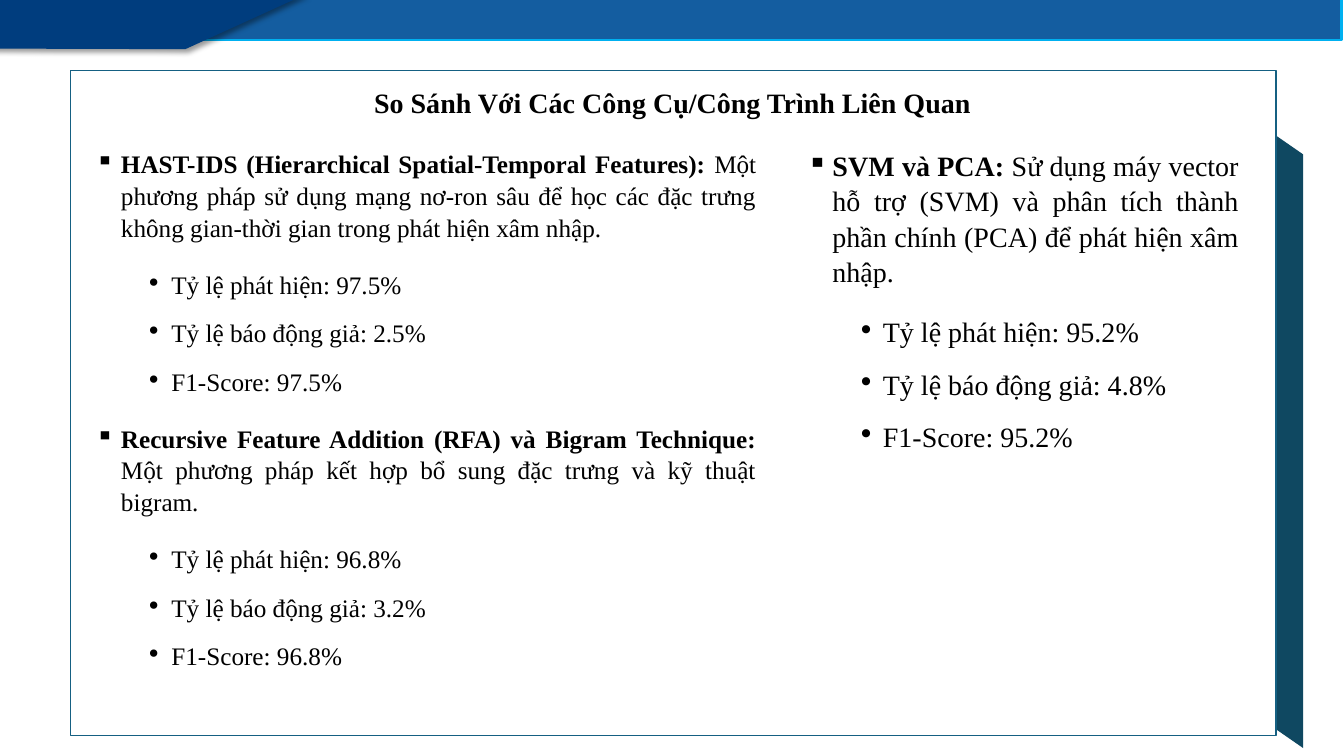
"""Builds a slide comparing intrusion detection methods by their scores."""
from lxml.etree import SubElement
from pptx import Presentation
from pptx.dml.color import RGBColor
from pptx.enum.shapes import MSO_SHAPE as Preset
from pptx.enum.text import MSO_ANCHOR as Anchor, MSO_AUTO_SIZE as AutoSize, PP_ALIGN as Align
from pptx.oxml.ns import qn
from pptx.util import Cm, Pt

COLOURS = {"ribbon": "0F4861", "fold": "0A3041", "panel": "FFFFFF", "frame": "156082",
           "bar": "145DA0", "bar edge": "00B0F0", "tab": "003D7E", "text": "000000"}
SCORE_LABELS = ("Tỷ lệ phát hiện", "Tỷ lệ báo động giả", "F1-Score")


def paint(shape, fill, line=None, width=1):
    shape.shadow.inherit = False
    shape.fill.solid()
    shape.fill.fore_color.rgb = RGBColor.from_string(COLOURS[fill])
    if line:
        shape.line.color.rgb = RGBColor.from_string(COLOURS[line])
        shape.line.width = Pt(width)
    else:
        shape.line.fill.background()


def write(para, text, size, bold=False):
    span = para.add_run()
    span.text = text
    for name, value in {"name": "Times New Roman", "size": Pt(size), "bold": bold}.items():
        setattr(span.font, name, value)
    span.font.color.rgb = RGBColor.from_string(COLOURS["text"])


deck = Presentation()
deck.slide_width, deck.slide_height = Cm(33.87), Cm(19.05)
page = deck.slides.add_slide(deck.slide_layouts[5])
shapes = page.shapes

outlines = {
    "ribbon": [(32.84, 18.85), (30.89, 17.5), (30.89, 2.54), (32.84, 3.89)],
    "fold": [(32.05, 16.79), (30.89, 17.53), (30.89, 2.54), (32.05, 1.78)],
    "tab": [(-1.96, 1.22), (-0.03, -0.15), (7.72, -0.15), (4.67, 1.24)],
}
drawn = {}
for name, corners in outlines.items():
    points = [(Cm(x), Cm(y)) for x, y in corners]
    builder = shapes.build_freeform(*points[0])
    builder.add_line_segments(points[1:], close=True)
    drawn[name] = builder.convert_to_shape()
    paint(drawn[name], name)

rectangles = [
    ("panel", "frame", 1, (1.78, 1.78, 30.38, 16.76)),
    ("bar", "bar edge", 1.5, (-0.05, -0.13, 33.86, 1.14)),
]
for fill, line, width, place in rectangles:
    paint(shapes.add_shape(Preset.RECTANGLE, *map(Cm, place)), fill, line, width)

tab = drawn["tab"].element
effects = tab.spPr.find(qn("a:effectLst"))
shadow = SubElement(effects, qn("a:outerShdw"), blurRad=str(Pt(4)), dist=str(Pt(3)),
                    dir=str(45 * 60000), algn="tl", rotWithShape="0")
tint = SubElement(shadow, qn("a:srgbClr"), val=COLOURS["text"])
SubElement(tint, qn("a:alpha"), val="40000")

columns = [
    ((-0.38, 3.58, 19.69, 13.13), 18, [
        ("HAST-IDS (Hierarchical Spatial-Temporal Features):",
         " Một phương pháp sử dụng mạng nơ-ron sâu để học các đặc trưng không gian-thời gian"
         " trong phát hiện xâm nhập.", ("97.5%", "2.5%", "97.5%")),
        ("Recursive Feature Addition (RFA) và Bigram Technique:",
         " Một phương pháp kết hợp bổ sung đặc trưng và kỹ thuật bigram.",
         ("96.8%", "3.2%", "96.8%")),
    ]),
    ((17.55, 3.58, 13.92, 7.75), 20, [
        ("SVM và PCA:",
         " Sử dụng máy vector hỗ trợ (SVM) và phân tích thành phần chính (PCA)"
         " để phát hiện xâm nhập.", ("95.2%", "4.8%", "95.2%")),
    ]),
]
for place, size, methods in columns:
    frame = shapes.add_textbox(*map(Cm, place)).text_frame
    frame.word_wrap = True
    entries = []
    for index, (method, summary, scores) in enumerate(methods):
        entries.append((2, "▪", 3.18, 18 if index else 0, [(method, True), (summary, False)]))
        for rank, (label, score) in enumerate(zip(SCORE_LABELS, scores)):
            entries.append((3, "∙", 4.45, 12 if rank else 18, [(f"{label}: {score}", False)]))
    for index, (level, bullet, indent, gap, spans) in enumerate(entries):
        para = frame.add_paragraph() if index else frame.paragraphs[0]
        layout = {"level": level, "alignment": Align.JUSTIFY, "line_spacing": 1.05,
                  "space_before": Pt(gap)}
        for name, value in layout.items():
            setattr(para, name, value)
        for text, bold in spans:
            write(para, text, size, bold)
        props = para._p.get_or_add_pPr()
        props.set("marL", str(Cm(indent)))
        props.set("indent", str(Cm(-0.64)))
        bullet_colour = SubElement(props, qn("a:buClr"))
        SubElement(bullet_colour, qn("a:srgbClr"), val=COLOURS["text"])
        SubElement(props, qn("a:buChar"), char=bullet)

title = shapes.title
tree = title.element.getparent()
for element in (tab, title.element):
    tree.append(element)
for name, value in {"left": 7.72, "top": 2.03, "width": 17.96, "height": 1.12}.items():
    setattr(title, name, Cm(value))
heading = title.text_frame
for name, value in {"word_wrap": True, "auto_size": AutoSize.NONE,
                    "vertical_anchor": Anchor.TOP}.items():
    setattr(heading, name, value)
para = heading.paragraphs[0]
para.alignment = Align.CENTER
props = para._p.get_or_add_pPr()
props.set("marL", str(Cm(1.14)))
props.set("indent", str(Cm(-0.64)))
write(para, "So Sánh Với Các Công Cụ/Công Trình Liên Quan", 20, True)

deck.save("out.pptx")
